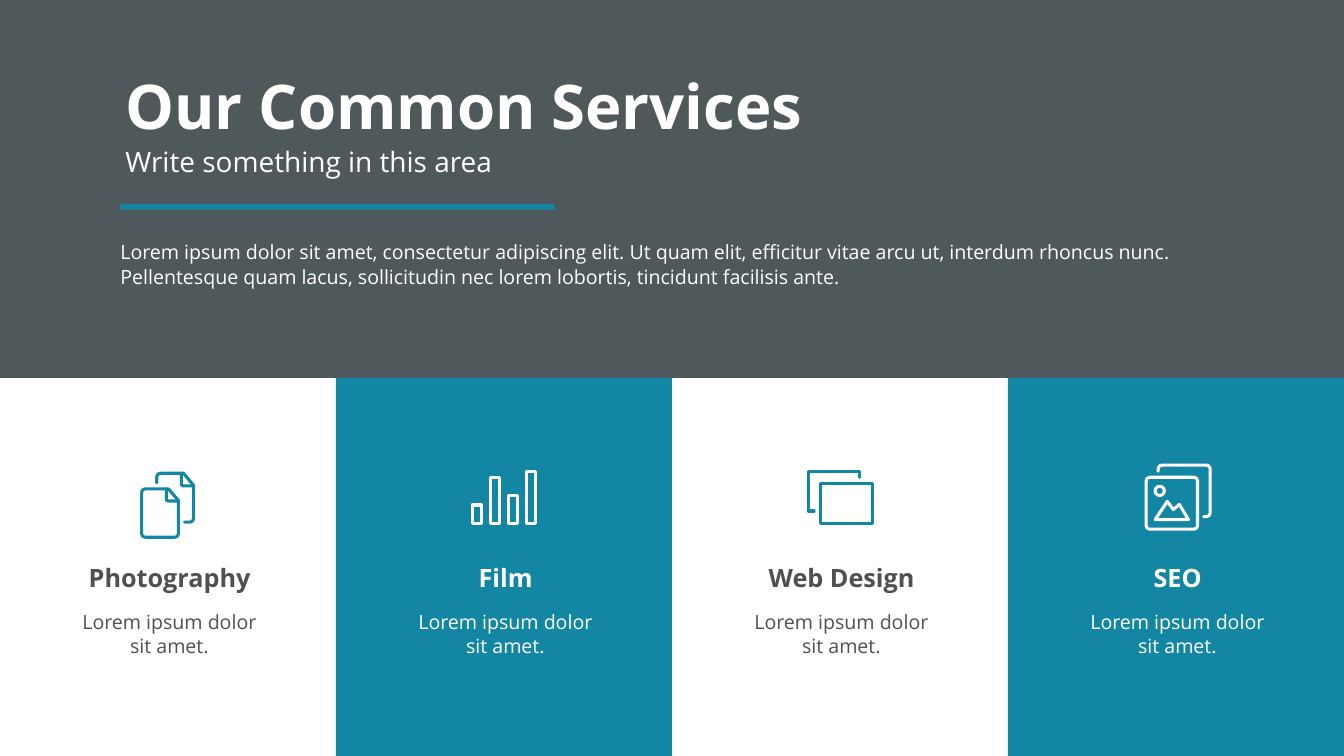
from math import cos, pi, sin

from lxml.etree import SubElement
from pptx import Presentation
from pptx.dml.color import RGBColor
from pptx.enum.shapes import MSO_SHAPE as Preset
from pptx.enum.text import MSO_ANCHOR as Anchor, MSO_AUTO_SIZE as AutoSize, PP_ALIGN as Align
from pptx.oxml.ns import qn
from pptx.util import Inches, Pt

COLORS = {"teal": "1386A3", "tint": "1897B5", "gray": "505050", "white": "FFFFFF"}
FONT = "Open Sans"
SLIDE_W, SLIDE_H = 26.66, 15
BAND_H = SLIDE_H / 2
STROKE = 4.4


def color(name):
    return RGBColor.from_string(COLORS[name])


def write(frame, text, size, fill, bold=False, align=Align.LEFT, spacing=None, wrap=True):
    frame.word_wrap = wrap
    frame.auto_size = AutoSize.NONE
    frame.vertical_anchor = Anchor.TOP
    paragraph = frame.paragraphs[0]
    paragraph.alignment = align
    if spacing:
        paragraph.line_spacing = Pt(spacing)
    run = paragraph.add_run()
    run.text = text
    run.font.name = FONT
    run.font.size = Pt(size)
    run.font.bold = bold
    run.font.color.rgb = color(fill)


def add_text(slide, box, text, **style):
    frame = slide.shapes.add_textbox(*map(Inches, box)).text_frame
    write(frame, text, **style)


def add_panel(slide, box, fill, opacity=100):
    panel = slide.shapes.add_shape(Preset.RECTANGLE, *map(Inches, box))
    panel.shadow.inherit = False
    panel.line.fill.background()
    panel.fill.solid()
    panel.fill.fore_color.rgb = color(fill)
    if opacity < 100:
        rgb = panel.element.spPr.find(f"{qn('a:solidFill')}/{qn('a:srgbClr')}")
        SubElement(rgb, qn("a:alpha"), val=str(opacity * 1000))


# Icon strokes: (closed, points); a point is (x, y) or (x, y, corner radius)
def rect(left, top, right, bottom, radius=0):
    corners = [(left, top), (right, top), (right, bottom), (left, bottom)]
    return True, [(x, y, radius) for x, y in corners]


def circle(cx, cy, radius, steps=24):
    angles = [2 * pi * i / steps for i in range(steps)]
    return True, [(cx + radius * cos(a), cy + radius * sin(a)) for a in angles]


def round_corners(points, steps=6):
    """Replace each corner that has a radius by points along a curve."""
    rounded = []
    for i, (x, y, *rest) in enumerate(points):
        radius = rest[0] if rest else 0
        if not radius:
            rounded.append((x, y))
            continue
        ends = []
        for px, py, *_ in (points[i - 1], points[(i + 1) % len(points)]):
            share = radius / ((px - x) ** 2 + (py - y) ** 2) ** 0.5
            ends.append((x + (px - x) * share, y + (py - y) * share))
        (ax, ay), (bx, by) = ends
        for t in (step / steps for step in range(steps + 1)):
            a, c, b = (1 - t) ** 2, 2 * t * (1 - t), t ** 2
            rounded.append((a * ax + c * x + b * bx, a * ay + c * y + b * by))
    return rounded


def add_icon(slide, left, top, strokes, ink):
    builder = None
    for closed, points in strokes:
        start, *others = [(Inches(left + x), Inches(top + y)) for x, y in round_corners(points)]
        if builder is None:
            builder = slide.shapes.build_freeform(*start)
        else:
            builder.move_to(*start)
        builder.add_line_segments(others, close=closed)
    icon = builder.convert_to_shape()
    icon.shadow.inherit = False
    icon.fill.background()
    icon.line.color.rgb = color(ink)
    icon.line.width = Pt(STROKE)
    line = icon.element.spPr.find(qn("a:ln"))
    line.set("cap", "rnd")
    SubElement(line, qn("a:round"))


PAGES = [
    (True, [(0.03, 0.34, 0.09), (0.56, 0.34), (0.76, 0.57), (0.76, 1.3, 0.09), (0.03, 1.3, 0.09)]),
    (False, [(0.52, 0.34), (0.52, 0.58, 0.04), (0.76, 0.58)]),
    (False, [(0.33, 0.22), (0.33, 0.03, 0.09), (0.86, 0.03), (1.06, 0.27),
             (1.06, 1, 0.09), (0.88, 1)]),
    (False, [(0.82, 0.03), (0.82, 0.28, 0.04), (1.06, 0.28)]),
]
BARS = [rect(0.03 + 0.36 * i, top, 0.21 + 0.36 * i, 1.06)
        for i, top in enumerate([0.7, 0.15, 0.52, 0.03])]
WINDOWS = [
    (False, [(0.15, 0.82), (0.03, 0.82), (0.03, 0.03), (1.05, 0.03), (1.05, 0.15)]),
    rect(0.27, 0.27, 1.3, 1.06),
]
PHOTOS = [
    (False, [(0.27, 0.15), (0.27, 0.03, 0.09), (1.3, 0.03, 0.09), (1.3, 1.05, 0.09), (1.17, 1.05)]),
    rect(0.03, 0.27, 1.05, 1.3, 0.09),
    circle(0.3, 0.54, 0.09),
    (True, [(0.21, 1.11), (0.45, 0.75), (0.57, 0.91), (0.69, 0.81), (0.87, 1.11)]),
]

# Service name, icon strokes, icon offset in its column
SERVICES = [
    ("Photography", PAGES, (2.78, 1.86)),
    ("Film", BARS, (2.67, 1.82)),
    ("Web Design", WINDOWS, (2.67, 1.82)),
    ("SEO", PHOTOS, (2.71, 1.7)),
]


def add_header(slide, box):
    left, top, _, _ = box
    add_panel(slide, box, "tint", opacity=80)
    add_panel(slide, box, "gray", opacity=90)

    # Introduction
    add_text(slide, (left + 2.29, top + 4.7, 21.68, 1.08),
             "Lorem ipsum dolor sit amet, consectetur adipiscing elit. Ut quam elit, efficitur vitae "
             "arcu ut, interdum rhoncus nunc. Pellentesque quam lacus, sollicitudin nec lorem "
             "lobortis, tincidunt facilisis ante.", size=28, fill="white", spacing=35)

    # Title, brought in front of the panels
    title = slide.shapes.title
    title.left, title.top, title.width, title.height = map(
        Inches, (left + 2.39, top + 1.3, 13.77, 1.58))
    write(title.text_frame, "Our Common Services", size=88, fill="white", bold=True, wrap=False)
    title.element.getparent().append(title.element)

    # Subtitle and rule
    add_text(slide, (left + 2.39, top + 2.82, 7.56, 0.77), "Write something in this area",
             size=40, fill="white", wrap=False)
    add_panel(slide, (left + 2.39, top + 4.05, 8.61, 0.11), "teal")


def add_service(slide, box, name, strokes, offset, highlighted):
    left, top, _, _ = box
    if highlighted:
        add_panel(slide, box, "teal")
    text_color = "white" if highlighted else "gray"
    add_icon(slide, left + offset[0], top + offset[1], strokes, "white" if highlighted else "teal")
    add_text(slide, (left + 1.39, top + 3.65, 3.95, 0.68), name,
             size=36, fill=text_color, bold=True, align=Align.CENTER, spacing=40.8)
    add_text(slide, (left + 1.39, top + 4.53, 3.94, 1.08), "Lorem ipsum dolor sit amet.",
             size=28, fill=text_color, align=Align.CENTER, spacing=35)


def main():
    deck = Presentation()
    deck.slide_width, deck.slide_height = Inches(SLIDE_W), Inches(SLIDE_H)
    slide = deck.slides.add_slide(deck.slide_layouts.get_by_name("Title Only"))

    add_header(slide, (0, 0, SLIDE_W, BAND_H))
    column_w = SLIDE_W / len(SERVICES)
    for i, service in enumerate(SERVICES):
        box = (i * column_w, BAND_H, column_w, SLIDE_H - BAND_H)
        add_service(slide, box, *service, highlighted=i % 2 == 1)

    deck.save("out.pptx")


if __name__ == "__main__":
    main()
